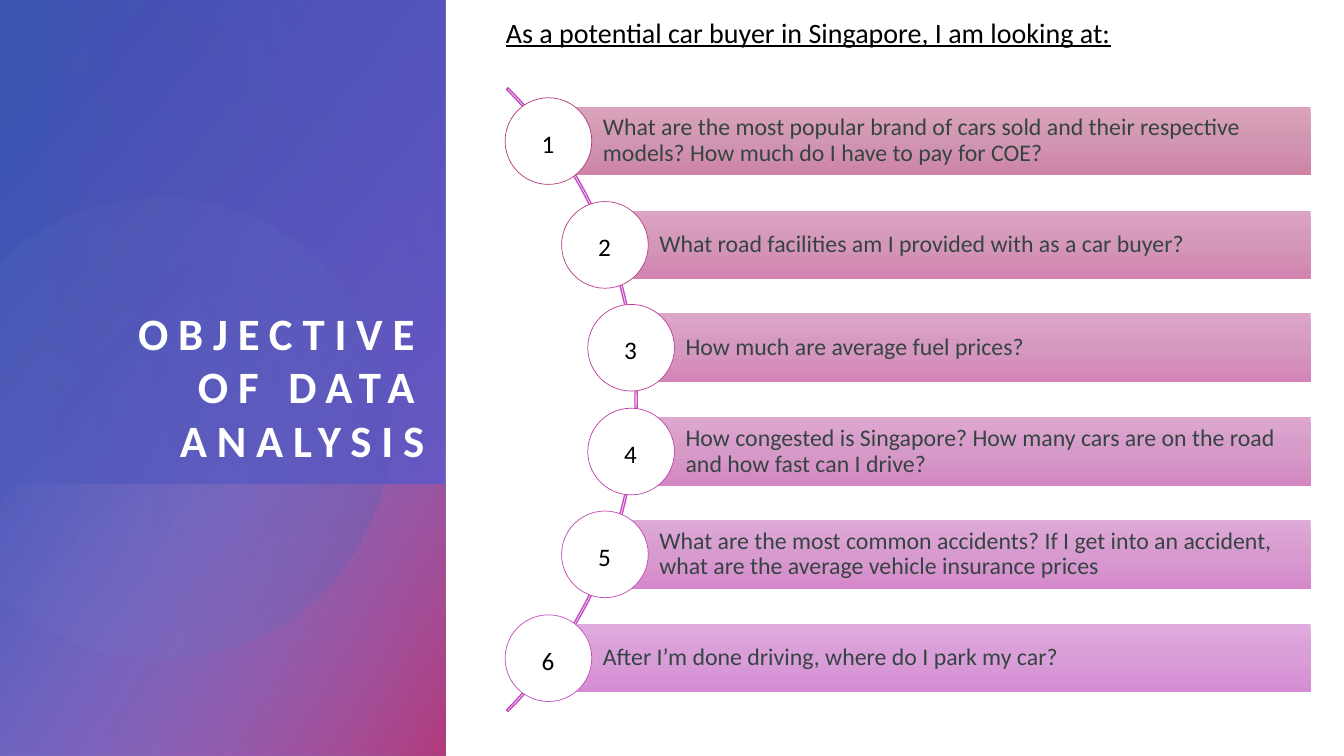
from lxml import etree
from pptx import Presentation
from pptx import util as u
from pptx.dml.color import RGBColor
from pptx.enum import shapes, text
from pptx.oxml.ns import qn

PX = 9144
COLORS = {
    "white": "FFFFFF", "black": "000000", "body": "364343",
    "blue": "3B55B1", "violet": "644DC3", "purple": "833BB1",
    "lilac": "A294DB", "crimson": "B13B7D", "mist": "8496D6",
    "arc": "C34DC0",
}
ROWS = [
    ("What are the most popular brand of cars sold and their respective models? "
     "How much do I have to pay for COE?", 0, "B13B7D", ("DAA3BB", "D196B1", "CE83A5")),
    ("What road facilities am I provided with as a car buyer?",
     56, "B63D8B", ("DBA4C2", "D497B8", "D283AF")),
    ("How much are average fuel prices?",
     82, "BC3F99", ("DCA6C9", "D598C0", "D385B8")),
    ("How congested is Singapore? How many cars are on the road and how fast can I drive?",
     82, "C042A8", ("DDA7D0", "D69AC8", "D487C2")),
    ("What are the most common accidents? If I get into an accident, "
     "what are the average vehicle insurance prices",
     56, "C148B4", ("DEA9D6", "D89BCF", "D589CB")),
    ("After I’m done driving, where do I park my car?",
     0, "C34DC0", ("DFABDD", "D99DD7", "D68CD4")),
]
CIRCLE_START = (164, 196)
CIRCLE_CURVES = [
    ((261, 198), (350, 263), (378, 362)),
    ((413, 483), (343, 610), (222, 644)),
    ((146, 666), (68, 647), (12, 600)),
    ((8, 596), (4, 593), (0, 589)),
    ((0, 480), (0, 370), (0, 261)),
    ((5, 256), (10, 252), (15, 247)),
    ((38, 229), (65, 214), (95, 205)),
    ((118, 199), (141, 196), (164, 196)),
]


def px(*lengths):
    """Turn px lengths into EMU."""
    return [u.Emu(round(length * PX)) for length in lengths]


def set_gradient(shape, stops, angle):
    """Fill a shape with (position, colour, opacity) stops along a clockwise angle."""
    shape.fill.gradient()
    gradient = shape._element.spPr.find(qn("a:gradFill"))
    stop_list = gradient.find(qn("a:gsLst"))
    for old_stop in list(stop_list):
        stop_list.remove(old_stop)
    for position, color, opacity in stops:
        stop = etree.SubElement(stop_list, qn("a:gs"), pos=str(position * 1000))
        value = etree.SubElement(stop, qn("a:srgbClr"), val=color)
        if opacity < 100:
            etree.SubElement(value, qn("a:alpha"), val=str(opacity * 1000))
    gradient.find(qn("a:lin")).set("ang", str(angle * 60000))


def style_outline(shape, color=None, width=1):
    """Remove the shadow and set or hide the outline."""
    shape.shadow.inherit = False
    if color:
        shape.line.color.rgb = RGBColor.from_string(color)
        shape.line.width = u.Pt(width)
    else:
        shape.line.fill.background()


def add_shape(slide, kind, box, line=None, width=1):
    """Add a preset shape in a px box."""
    shape = slide.shapes.add_shape(kind, *px(*box))
    style_outline(shape, line, width)
    return shape


def write_text(shape, words, size, color, bold=False, underline=False, spacing=0,
               align=text.PP_ALIGN.LEFT, anchor=text.MSO_ANCHOR.TOP,
               insets=(10, 5, 10, 5), line_spacing=None):
    """Write one formatted paragraph into a shape."""
    frame = shape.text_frame
    frame.word_wrap = True
    frame.vertical_anchor = anchor
    (frame.margin_left, frame.margin_top,
     frame.margin_right, frame.margin_bottom) = px(*insets)
    paragraph = frame.paragraphs[0]
    paragraph.alignment = align
    paragraph.line_spacing = line_spacing
    run = paragraph.add_run()
    run.text = words
    font = run.font
    font.name, font.size, font.bold, font.underline = "Calibri", u.Pt(size), bold, underline
    font.color.rgb = RGBColor.from_string(color)
    if spacing:
        run._r.get_or_add_rPr().set("spc", str(spacing * 100))


def curve_points(start, curves, steps=16):
    """Sample a chain of cubic curves into points."""
    points = []
    for first, second, end in curves:
        for step in range(1, steps + 1):
            t = step / steps
            weights = ((1 - t) ** 3, 3 * t * (1 - t) ** 2, 3 * t * t * (1 - t), t ** 3)
            corners = (start, first, second, end)
            points.append(tuple(sum(weight * corner[axis] for weight, corner
                                    in zip(weights, corners)) for axis in (0, 1)))
        start = end
    return points


def add_title_panel(slide, left, top, width, height):
    """Draw the layered gradient panel with the slide title."""
    rectangle = shapes.MSO_SHAPE.RECTANGLE
    base = add_shape(slide, rectangle, (left, top, width, height))
    set_gradient(base, [(8, COLORS["blue"], 100), (100, COLORS["violet"], 89)], 40)
    glow = add_shape(slide, rectangle, (left, top + height - 269, width, 269))
    set_gradient(glow, [(0, COLORS["lilac"], 0), (99, COLORS["crimson"], 100)], 30)

    builder = slide.shapes.build_freeform(*CIRCLE_START, scale=PX)
    builder.add_line_segments(curve_points(CIRCLE_START, CIRCLE_CURVES), close=True)
    circle = builder.convert_to_shape(*px(left, top))
    style_outline(circle)
    set_gradient(circle, [(36, COLORS["mist"], 6), (100, COLORS["blue"], 26)], 14)

    veil = add_shape(slide, rectangle, (left + 50, top, width - 50, 481))
    set_gradient(veil, [(0, COLORS["violet"], 29), (100, COLORS["purple"], 0)], 160)
    title = slide.shapes.add_textbox(*px(left + 50, top + 95, 371, 368))
    write_text(title, "OBJECTIVE OF DATA ANALYSIS", 32, COLORS["white"], bold=True,
               spacing=7, align=text.PP_ALIGN.RIGHT, anchor=text.MSO_ANCHOR.BOTTOM,
               insets=(0, 0, 0, 0))


def add_questions(slide, left, top, width, height):
    """Draw the arc and the numbered question bars along it."""
    arc = add_shape(slide, shapes.MSO_SHAPE.BLOCK_ARC,
                    (left - 744, top - 138, 875, 875), COLORS["arc"])
    arc.fill.background()
    for index, value in enumerate((189, 27, 0.00247)):
        arc.adjustments[index] = value

    diameter, bar_height = 86, 68
    step = (height - diameter) / (len(ROWS) - 1)
    for index, (question, offset, outline, tints) in enumerate(ROWS):
        row_left, row_top = left + offset, round(top + index * step)
        bar_left = row_left + diameter // 2
        bar = add_shape(slide, shapes.MSO_SHAPE.RECTANGLE,
                        (bar_left, row_top + 9, left + width - bar_left, bar_height))
        set_gradient(bar, [(stop, tint, 100) for stop, tint in zip((0, 50, 100), tints)], 90)
        write_text(bar, question, 17, COLORS["body"], anchor=text.MSO_ANCHOR.MIDDLE,
                   insets=(54, 5, 5, 5), line_spacing=0.9)
        circle = add_shape(slide, shapes.MSO_SHAPE.OVAL,
                           (row_left, row_top, diameter, diameter), outline, 0.5)
        circle.fill.solid()
        circle.fill.fore_color.rgb = RGBColor.from_string(COLORS["white"])
        number = slide.shapes.add_textbox(*px(row_left + 24, row_top + 25, 37, 40))
        write_text(number, str(index + 1), 18, COLORS["black"], align=text.PP_ALIGN.CENTER)


def add_heading(slide, left, top, width, height):
    """Write the underlined lead-in above the questions."""
    heading = slide.shapes.add_textbox(*px(left, top, width, height))
    write_text(heading, "As a potential car buyer in Singapore, I am looking at:",
               20, COLORS["black"], underline=True)


def main():
    """Build and save the slide."""
    presentation = Presentation()
    presentation.slide_width, presentation.slide_height = px(1333, 750)
    slide = presentation.slides.add_slide(presentation.slide_layouts[6])
    add_title_panel(slide, 0, 0, 442, 750)
    add_questions(slide, 501, 97, 799, 599)
    add_heading(slide, 492, 10, 694, 44)
    presentation.save("out.pptx")


if __name__ == "__main__":
    main()
